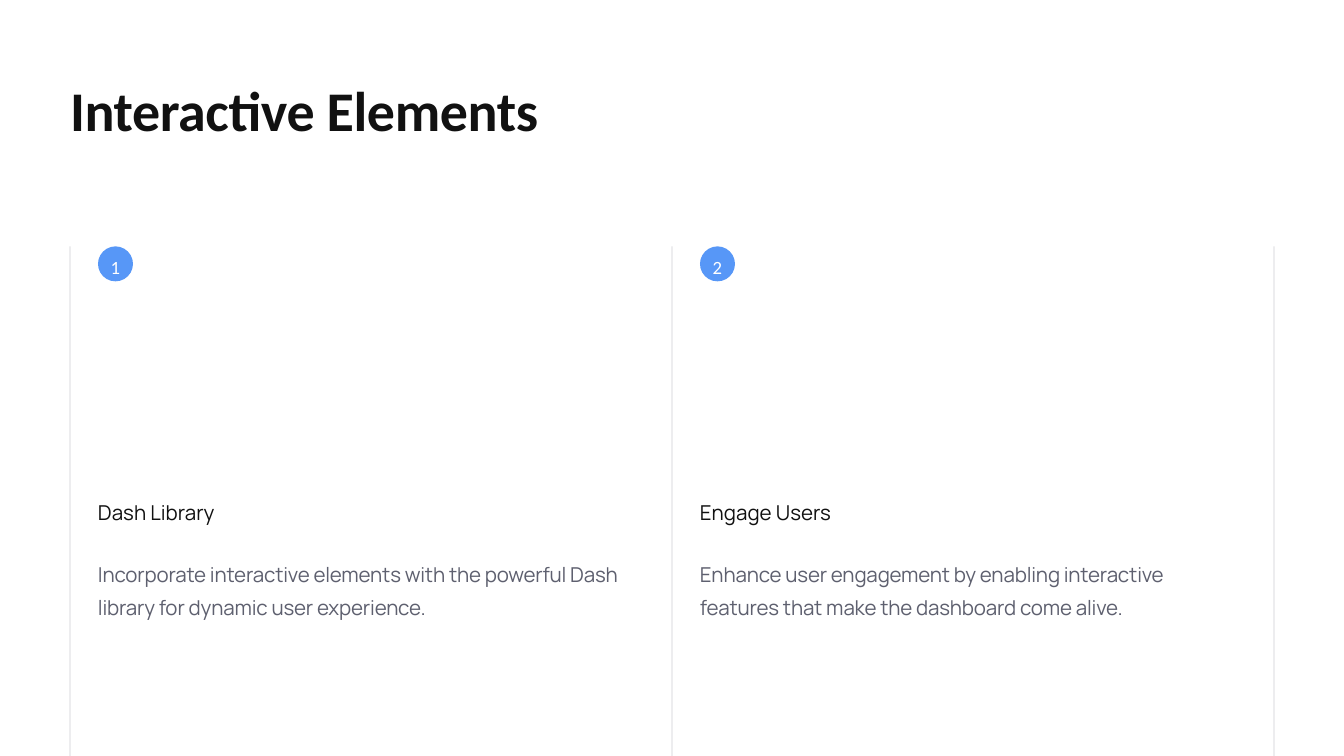
"""Build the Interactive Elements slide: two numbered columns between thin rules."""
from lxml import etree
from pptx import Presentation
from pptx import util as u
from pptx.dml.color import RGBColor
from pptx.enum import shapes, text
from pptx.oxml.ns import qn

TITLE = "Interactive Elements"
COLUMNS = [
    ("Dash Library", "Incorporate interactive elements with the powerful Dash "
                     "library for dynamic user experience."),
    ("Engage Users", "Enhance user engagement by enabling interactive "
                     "features that make the dashboard come alive."),
]
COLORS = {"ink": "111111", "body": "5E606F", "badge": "5797F7",
          "white": "FFFFFF", "rule": "5E606F"}

PX = 9525
WIDTH, HEIGHT = 960, 540
MARGIN, TITLE_TOP, TITLE_HEIGHT = 50, 50, 52
COLUMN_WIDTH = (WIDTH - 2 * MARGIN) // len(COLUMNS)
PADDING = 20
RULE_TOP, RULE_BOTTOM = 176, 560
BADGE_SIZE = 25
HEADING_TOP, HEADING_HEIGHT = 351, 24
BODY_TOP, BODY_HEIGHT = 395, 48


def px(*lengths):
    return [u.Emu(length * PX) for length in lengths]


def color(name):
    return RGBColor.from_string(COLORS[name])


def write(shape, words, font, size, ink, leading, spacing=0, bold=False,
          align=text.PP_ALIGN.LEFT, anchor=text.MSO_ANCHOR.TOP, insets=(0, 0)):
    frame = shape.text_frame
    frame.word_wrap = True
    frame.auto_size = text.MSO_AUTO_SIZE.NONE
    frame.vertical_anchor = anchor
    frame.margin_left = frame.margin_right = insets[0] * PX
    frame.margin_top = frame.margin_bottom = insets[1] * PX
    paragraph = frame.paragraphs[0]
    paragraph.alignment = align
    paragraph.line_spacing = u.Pt(leading)
    run = paragraph.add_run()
    run.text = words
    run.font.name, run.font.size, run.font.bold = font, u.Pt(size), bold
    run.font.color.rgb = color(ink)
    if spacing:
        run.font._element.set("spc", str(spacing))


def add_text(slide, box, words, ink, spacing=0):
    write(slide.shapes.add_textbox(*px(*box)), words, "Manrope", 11, ink, 18, spacing)


def add_badge(slide, left, number):
    badge = slide.shapes.add_shape(shapes.MSO_SHAPE.OVAL,
                                   *px(left, RULE_TOP, BADGE_SIZE, BADGE_SIZE))
    badge.shadow.inherit = False
    badge.fill.solid()
    badge.fill.fore_color.rgb = color("badge")
    badge.line.fill.background()
    write(badge, str(number), "Calibri", 10, "white", 15.6, -10,
          align=text.PP_ALIGN.CENTER, anchor=text.MSO_ANCHOR.MIDDLE, insets=(1, 3))


def add_rule(slide, x):
    rule = slide.shapes.add_connector(shapes.MSO_CONNECTOR.STRAIGHT,
                                      *px(x, RULE_TOP, x, RULE_BOTTOM))
    rule.line.width = u.Pt(0.42)
    rule.line.color.rgb = color("rule")
    properties = rule._element.spPr
    tint = properties.find(".//" + qn("a:srgbClr"))
    etree.SubElement(tint, qn("a:alpha")).set("val", "30000")
    etree.SubElement(properties, qn("a:effectLst"))


def main():
    presentation = Presentation()
    presentation.slide_width, presentation.slide_height = px(WIDTH, HEIGHT)
    slide = presentation.slides.add_slide(presentation.slide_layouts[5])
    slide.background.fill.solid()
    slide.background.fill.fore_color.rgb = color("white")

    title = slide.shapes.title
    title.left, title.top, title.width, title.height = px(
        MARGIN, TITLE_TOP, WIDTH - 2 * MARGIN, TITLE_HEIGHT)
    write(title, TITLE, "Calibri", 30, "ink", 39, -20, bold=True)

    for index in range(len(COLUMNS) + 1):
        add_rule(slide, MARGIN + index * COLUMN_WIDTH)

    text_width = COLUMN_WIDTH - 2 * PADDING
    for index, (heading, body) in enumerate(COLUMNS):
        left = MARGIN + index * COLUMN_WIDTH + PADDING
        add_badge(slide, left, index + 1)
        add_text(slide, (left, HEADING_TOP, text_width, HEADING_HEIGHT), heading, "ink")
        add_text(slide, (left, BODY_TOP, text_width, BODY_HEIGHT), body, "body", -10)

    presentation.save("out.pptx")


if __name__ == "__main__":
    main()
